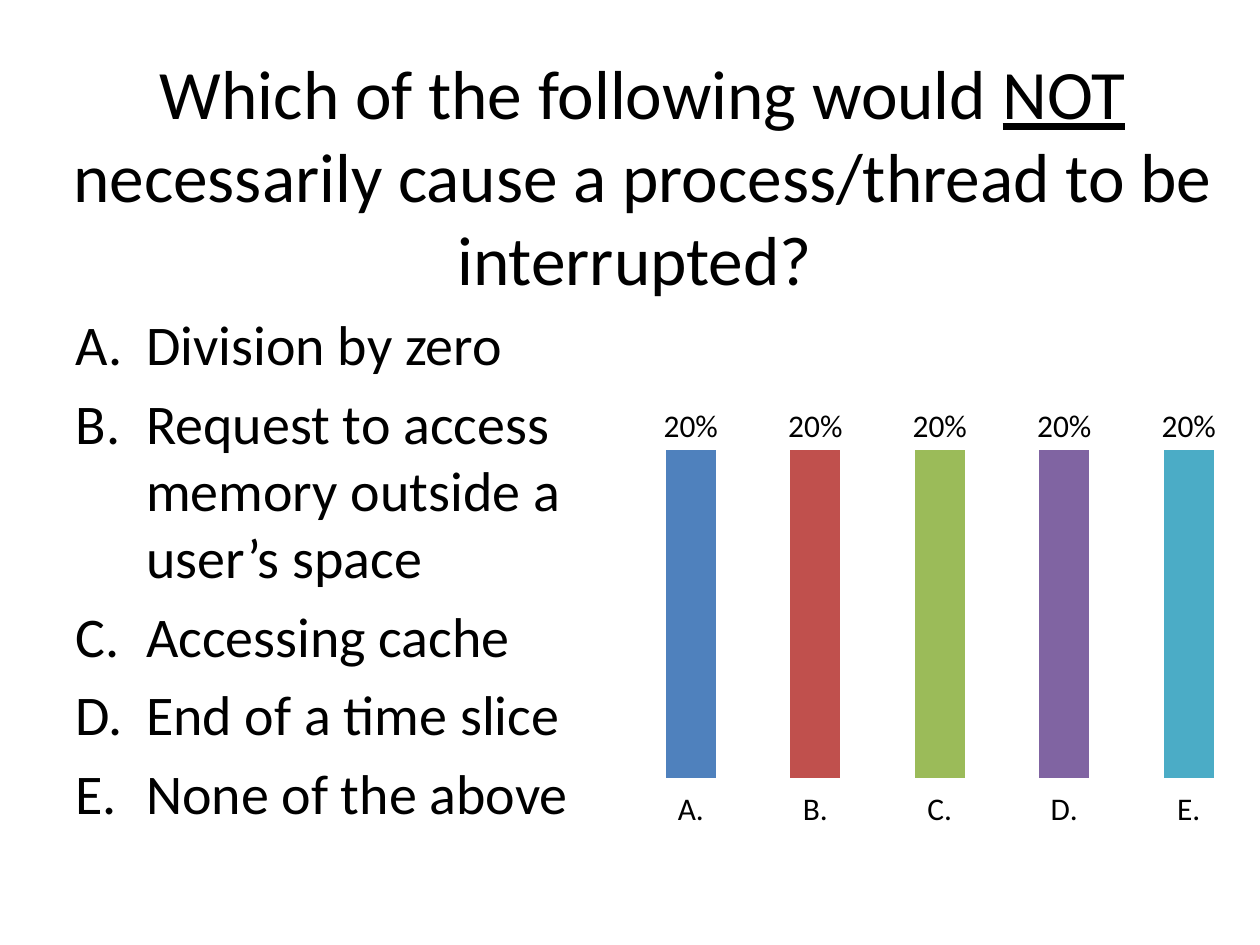
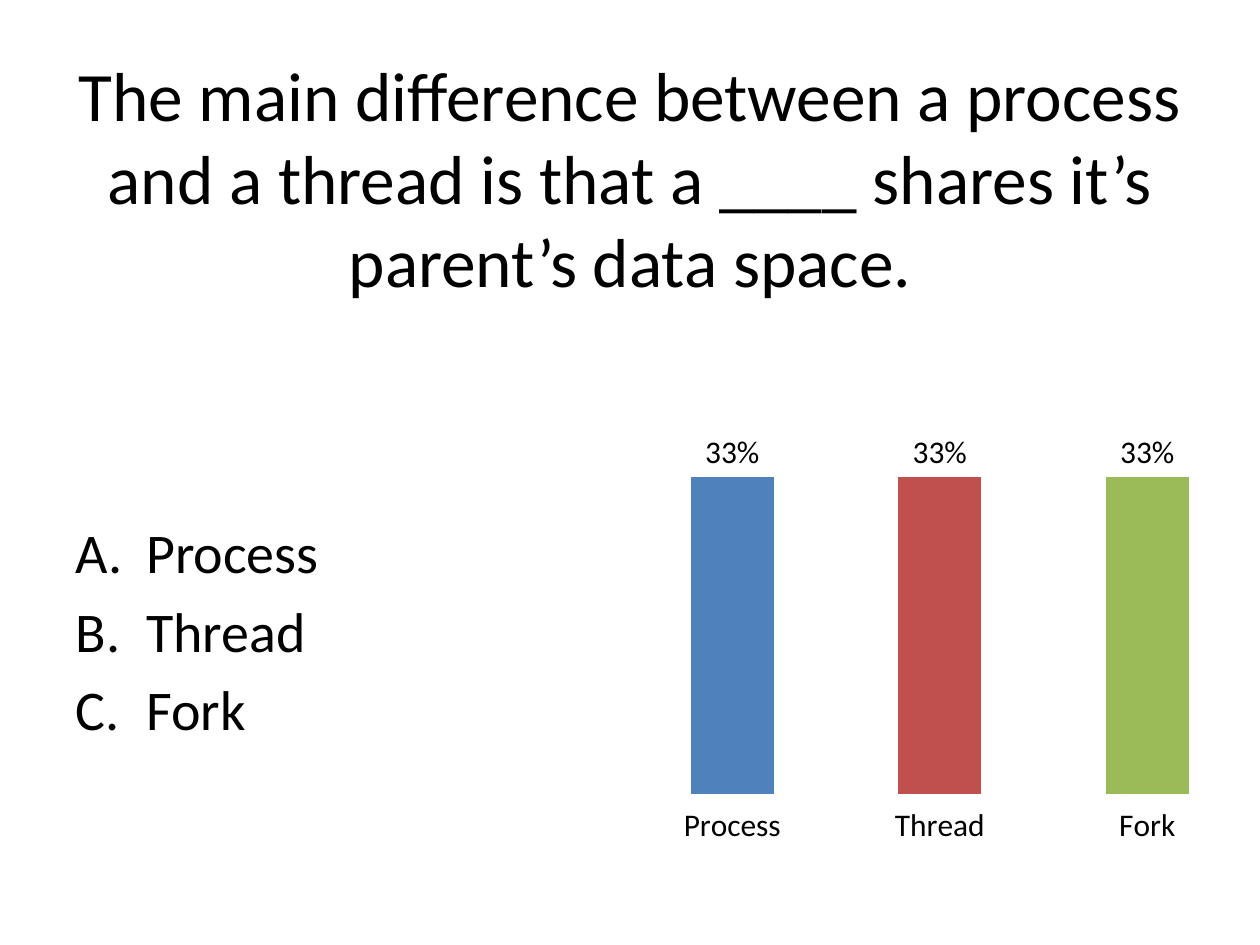
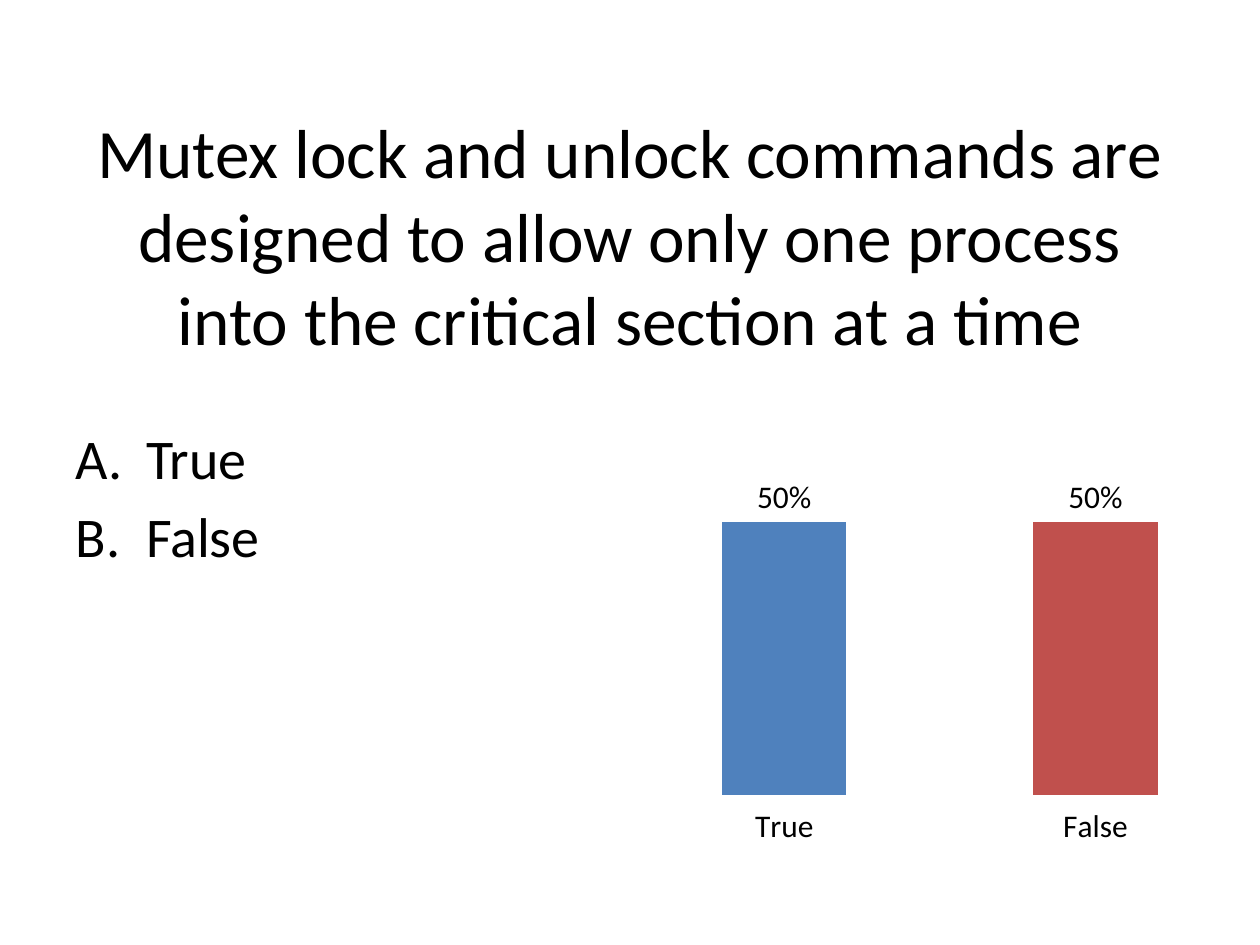
from pptx import Presentation
from pptx.chart.data import CategoryChartData
from pptx.dml.color import RGBColor
from pptx.enum.chart import XL_CHART_TYPE, XL_LABEL_POSITION, XL_TICK_LABEL_POSITION
from pptx.enum.text import MSO_ANCHOR, MSO_AUTO_SIZE, PP_ALIGN
from pptx.oxml import parse_xml
from pptx.oxml.ns import nsdecls, qn
from pptx.util import Inches, Pt

WIDTH, HEIGHT = Inches(10), Inches(7.5)
FONT, INK = "Calibri", "000000"
BAR_COLORS = ["4F81BD", "C0504D", "9BBB59", "8064A2", "4BACC6"]
TITLE_SIZE, ANSWER_SIZE, CHART_SIZE = 39.6, 32, 18

# Inches shared by every question slide
MARGIN = 0.5
HALF = 4.5
ANSWERS_BOTTOM = 6.7
CHART_LEFT, CHART_WIDTH, CHART_BOTTOM = 4.93, 5, 7.38
ANSWER_INDENT = Inches(0.56)
PLOT = {"x": 0.008, "y": 0.072, "w": 0.992, "h": 0.76}


def rgb(value):
    return RGBColor.from_string(value)


def style_font(font, size):
    font.name, font.size = FONT, Pt(size)
    font.color.rgb = rgb(INK)


def place(shape, left, top, width, height):
    shape.left, shape.top = Inches(left), Inches(top)
    shape.width, shape.height = Inches(width), Inches(height)


def add_run(p, text, size, underline=None):
    r = p.add_run()
    r.text = text
    style_font(r.font, size)
    r.font.underline = underline


def set_title(s, box, runs):
    """Fill the title; each run is a (text, underline) pair."""
    place(s.shapes.title, *box)
    tf = s.shapes.title.text_frame
    tf.auto_size = MSO_AUTO_SIZE.NONE
    tf.vertical_anchor = MSO_ANCHOR.MIDDLE
    p = tf.paragraphs[0]
    p.alignment = PP_ALIGN.CENTER
    for text, underline in runs:
        add_run(p, text, TITLE_SIZE, underline)


def set_answers(s, top, answers):
    body = s.placeholders[1]
    place(body, MARGIN, top, HALF, ANSWERS_BOTTOM - top)
    tf = body.text_frame
    tf.auto_size = MSO_AUTO_SIZE.NONE
    for i, answer in enumerate(answers):
        p = tf.add_paragraph() if i else tf.paragraphs[0]
        pPr = p._p.get_or_add_pPr()
        pPr.set("marL", str(ANSWER_INDENT))
        pPr.set("indent", str(-ANSWER_INDENT))
        pPr.append(parse_xml(
            f'<a:buFont {nsdecls("a")} typeface="{FONT}"/>'))
        pPr.append(parse_xml(
            f'<a:buAutoNum {nsdecls("a")} type="alphaUcPeriod"/>'))
        add_run(p, answer, ANSWER_SIZE)


def set_plot_layout(chart):
    plot_area = chart.element.find(".//" + qn("c:plotArea"))
    for old in plot_area.findall(qn("c:layout")):
        plot_area.remove(old)
    modes = "".join(f'<c:{k}Mode val="edge"/>' for k in "xy")
    sizes = "".join(f'<c:{k} val="{v}"/>' for k, v in PLOT.items())
    plot_area.insert(0, parse_xml(
        f'<c:layout {nsdecls("c")}><c:manualLayout>'
        f'<c:layoutTarget val="outer"/>{modes}{sizes}'
        '</c:manualLayout></c:layout>'))


def add_votes_chart(s, top, labels, share):
    """Column chart in which every answer got the same share of votes."""
    data = CategoryChartData(number_format="0%")
    data.categories = labels
    data.add_series("Series 1", [share] * len(labels))
    chart = s.shapes.add_chart(
        XL_CHART_TYPE.COLUMN_CLUSTERED, Inches(CHART_LEFT), Inches(top),
        Inches(CHART_WIDTH), Inches(CHART_BOTTOM - top), data).chart
    chart.has_title = chart.has_legend = False
    style_font(chart.font, CHART_SIZE)
    set_plot_layout(chart)

    for axis in (chart.category_axis, chart.value_axis):
        axis.has_major_gridlines = False
        axis.format.line.fill.background()
    chart.value_axis.minimum_scale = 0
    chart.value_axis.tick_label_position = XL_TICK_LABEL_POSITION.NONE

    plot = chart.plots[0]
    plot.gap_width = 150
    plot.vary_by_categories = True
    plot.has_data_labels = True
    votes = plot.data_labels
    votes.show_value = True
    votes.number_format, votes.number_format_is_linked = "0%", False
    votes.position = XL_LABEL_POSITION.OUTSIDE_END
    style_font(votes.font, CHART_SIZE)
    for i, color in enumerate(BAR_COLORS[:len(labels)]):
        fill = plot.series[0].points[i].format.fill
        fill.solid()
        fill.fore_color.rgb = rgb(color)


def add_question(prs, title_box, title, answers_top, answers,
                 chart_top, share, labels=None):
    s = prs.slides.add_slide(prs.slide_layouts[1])
    add_votes_chart(s, chart_top, labels or answers, share)
    set_title(s, title_box, title)
    set_answers(s, answers_top, answers)


def main():
    prs = Presentation()
    prs.slide_width, prs.slide_height = WIDTH, HEIGHT
    add_question(
        prs, (0.12, 0.38, 9.96, 2.02),
        [("Which of the following would ", None), ("NOT ", True),
         ("necessarily cause a process/thread to be interrupted? ", None)],
        2.41,
        ["Division by zero", "Request to access memory outside a user’s space",
         "Accessing cache", "End of a time slice", "None of the above"],
        2.58, 0.2, [f"{letter}." for letter in "ABCDE"])
    add_question(
        prs, (MARGIN, 0.3, 2 * HALF, 2.21),
        [("The main difference between a process and a thread is that "
          "a ____ shares it’s parent’s data space.", None)],
        4.06, ["Process", "Thread", "Fork"], 3.34, 0.33)
    add_question(
        prs, (MARGIN, 0.66, 2 * HALF, 2.4),
        [("Mutex lock and unlock commands are designed to allow only one "
          "process into the critical section at a time", None)],
        3.31, ["True", "False"], 3.42, 0.5)
    prs.save("out.pptx")


if __name__ == "__main__":
    main()
